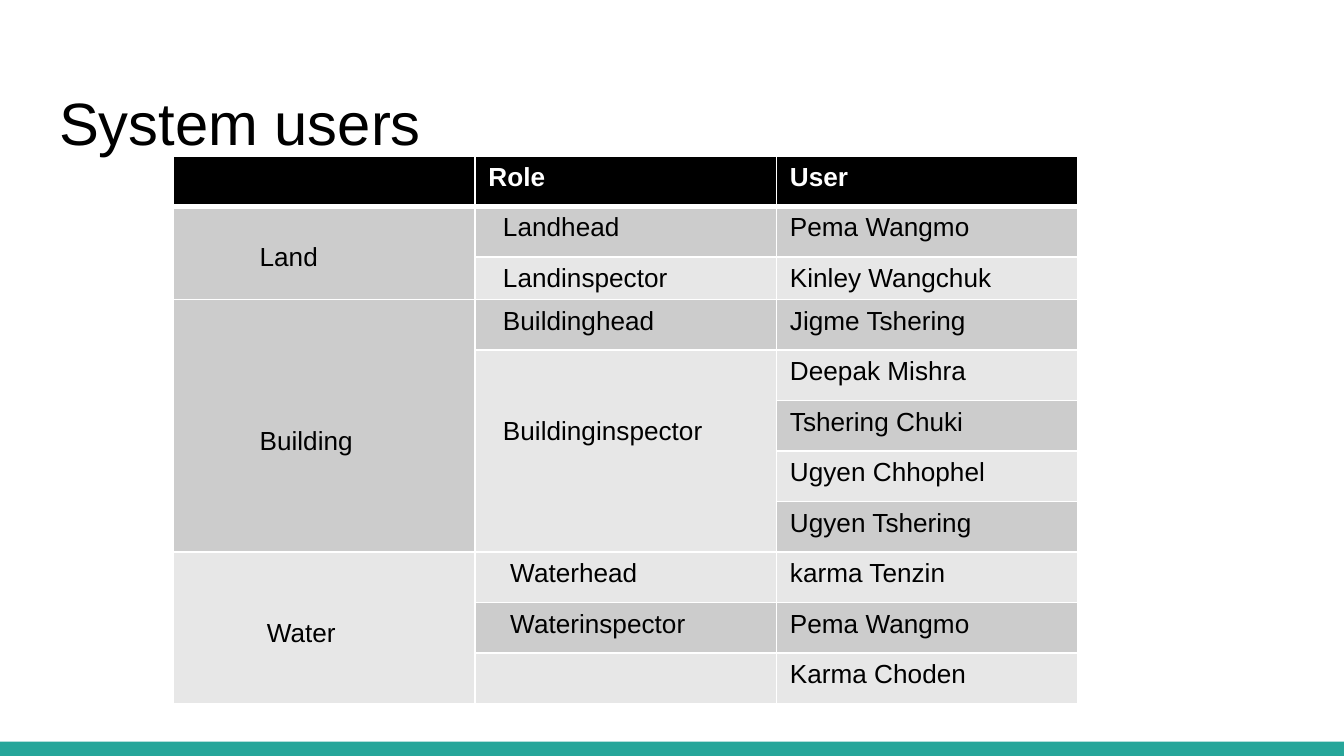
from dataclasses import dataclass

import pptx
import pptx.dml.color
import pptx.enum.shapes
import pptx.enum.text
import pptx.oxml
import pptx.oxml.ns
import pptx.util

Pt = pptx.util.Pt
RGB = pptx.dml.color.RGBColor


@dataclass(frozen=True)
class Theme:
    font: str = "Arial"
    title_size: float = 32
    table_size: float = 14
    ink: str = "000000"
    paper: str = "FFFFFF"
    accent: str = "26A69A"
    dark_band: str = "CCCCCC"
    light_band: str = "E7E7E7"


THEME = Theme()
ROW_HEIGHT = 27.05
TIGHT_ROW, TIGHT_HEIGHT = 2, 22.5
LINE, SPACE = 16.1, 3.89  # height of a line and width of a space at table size
PAD_X, PAD_Y = 7.2, 3.6

HEADINGS = ["", "Role", "User"]
USERS = ["Pema Wangmo", "Kinley Wangchuk", "Jigme Tshering", "Deepak Mishra",
         "Tshering Chuki", "Ugyen Chhophel", "Ugyen Tshering",
         "karma Tenzin", "Pema Wangmo", "Karma Choden"]
# text, first row, rows spanned, indent in spaces, lines left free above
DEPARTMENTS = [("Land", 1, 2, 10, 1), ("Building", 3, 5, 10, 4),
               ("Water", 8, 3, 11, 2)]
ROLES = [("Landhead", 1, 1, 2, 0), ("Landinspector", 2, 1, 2, 0),
         ("Buildinghead", 3, 1, 2, 0), ("Buildinginspector", 4, 4, 2, 2),
         ("Waterhead", 8, 1, 3, 0), ("Waterinspector", 9, 1, 3, 0),
         ("", 10, 1, 0, 0)]


def set_all(target, values):
    for name, value in values.items():
        setattr(target, name, value)


def style_font(font, size, color, bold=False):
    set_all(font, {"name": THEME.font, "size": Pt(size), "bold": bold})
    font.color.rgb = RGB.from_string(color)


def add_title(slide, box, text):
    title = slide.shapes.title
    set_all(title, dict(zip(("left", "top", "width", "height"), map(Pt, box))))
    frame = title.text_frame
    set_all(frame, {
        "auto_size": pptx.enum.text.MSO_AUTO_SIZE.NONE,
        "vertical_anchor": pptx.enum.text.MSO_ANCHOR.TOP,
        "word_wrap": True,
        "margin_left": Pt(7.2), "margin_right": Pt(7.2),
        "margin_top": Pt(10.4), "margin_bottom": 0,
    })
    frame.text = text
    frame.paragraphs[0].alignment = pptx.enum.text.PP_ALIGN.LEFT
    style_font(frame.paragraphs[0].runs[0].font, THEME.title_size, THEME.ink)


def add_footer_band(slide, box):
    band = slide.shapes.add_shape(
        pptx.enum.shapes.MSO_SHAPE.RECTANGLE, *map(Pt, box))
    band.shadow.inherit = False
    band.fill.solid()
    band.fill.fore_color.rgb = RGB.from_string(THEME.accent)
    band.line.fill.background()


def add_borders(cell, row):
    widths = {"L": 1, "R": 1, "T": 3 if row == 1 else 1, "B": 3 if row == 0 else 1}
    properties = cell._tc.get_or_add_tcPr()
    for side, width in widths.items():
        properties.append(pptx.oxml.parse_xml(
            f'<a:ln{side} {pptx.oxml.ns.nsdecls("a")} w="{Pt(width)}">'
            f'<a:solidFill><a:srgbClr val="{THEME.paper}"/></a:solidFill>'
            f'</a:ln{side}>'))


def fill_cell(cell, text, color, indent=0, lines_above=0, bold=False):
    set_all(cell, {
        "margin_left": Pt(PAD_X + indent * SPACE), "margin_right": Pt(PAD_X),
        "margin_top": Pt(PAD_Y + lines_above * LINE), "margin_bottom": Pt(PAD_Y),
        "vertical_anchor": pptx.enum.text.MSO_ANCHOR.TOP,
    })
    cell.text = text
    style_font(cell.text_frame.paragraphs[0].font, THEME.table_size, color, bold)
    for run in cell.text_frame.paragraphs[0].runs:
        style_font(run.font, THEME.table_size, color, bold)


def add_user_table(slide, box):
    left, top, width, height = box
    row_count, column_count = len(USERS) + 1, len(HEADINGS)
    table = slide.shapes.add_table(
        row_count, column_count, Pt(left), Pt(top), Pt(width), Pt(height)).table
    for column in table.columns:
        column.width = Pt(width / column_count)

    # Row heights, borders and alternating bands
    for r, row in enumerate(table.rows):
        row.height = Pt(TIGHT_HEIGHT if r == TIGHT_ROW else ROW_HEIGHT)
        band = THEME.dark_band if r % 2 else THEME.light_band
        for cell in row.cells:
            add_borders(cell, r)
            cell.fill.solid()
            cell.fill.fore_color.rgb = RGB.from_string(band if r else THEME.ink)
            fill_cell(cell, "", THEME.ink)

    # Headings and users
    for c, heading in enumerate(HEADINGS):
        fill_cell(table.cell(0, c), heading, THEME.paper, bold=True)
    for r, user in enumerate(USERS, start=1):
        fill_cell(table.cell(r, 2), user, THEME.ink)

    # Departments and roles, merged over their users
    for c, entries in enumerate((DEPARTMENTS, ROLES)):
        for text, first, span, indent, lines_above in entries:
            cell = table.cell(first, c)
            if span > 1:
                cell.merge(table.cell(first + span - 1, c))
            fill_cell(cell, text, THEME.ink, indent, lines_above)


def main():
    presentation = pptx.Presentation()
    set_all(presentation, {"slide_width": Pt(720), "slide_height": Pt(405)})
    slide = presentation.slides.add_slide(presentation.slide_layouts[5])
    add_footer_band(slide, (0, 397.4, 720, 7.6))
    add_title(slide, (24.5, 35.3, 671, 48.2), "System users")
    add_user_table(slide, (93, 83.5, 484.5, 293))
    presentation.save("out.pptx")


if __name__ == "__main__":
    main()
